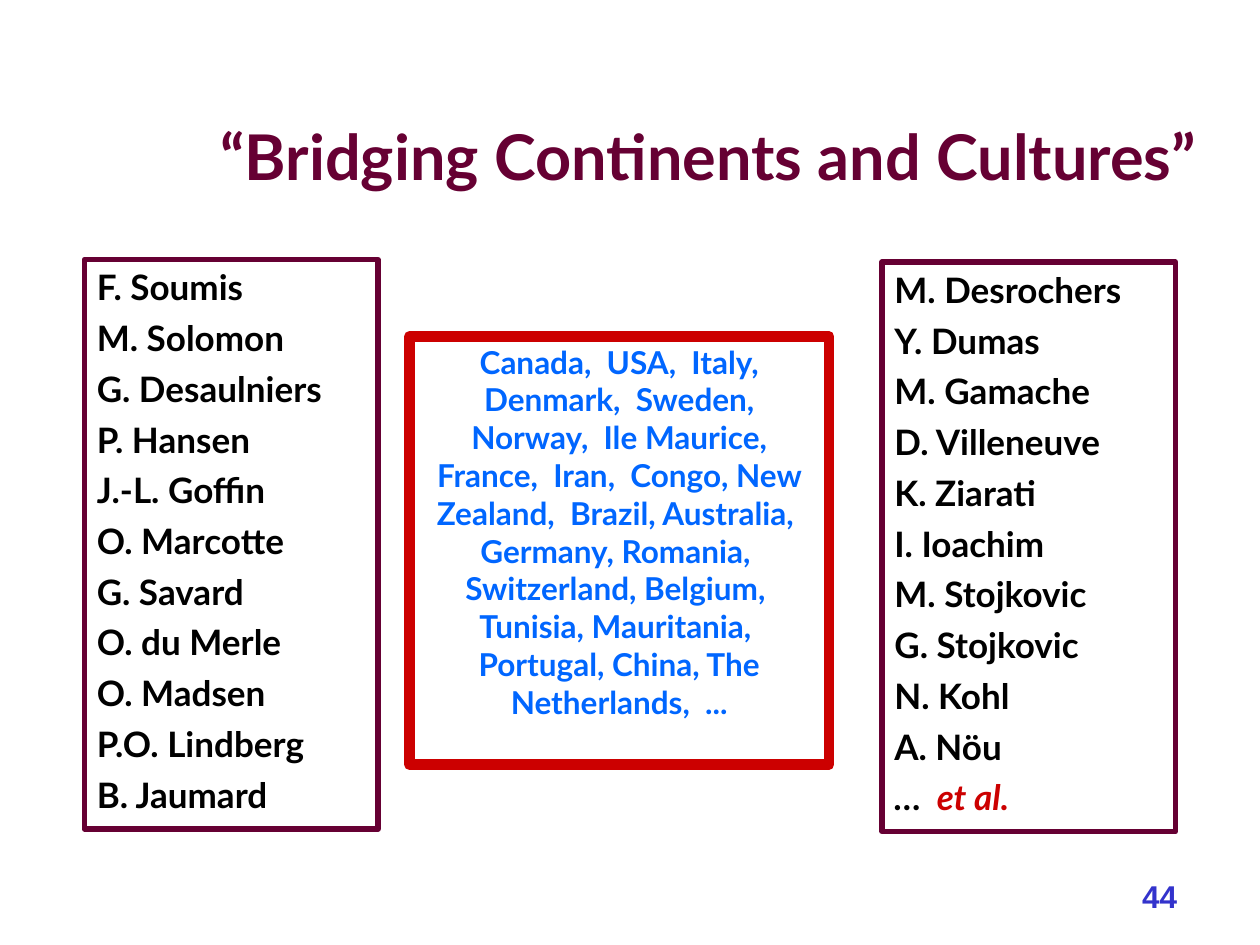
from dataclasses import dataclass

import pptx
import pptx.dml.color
import pptx.enum.shapes
import pptx.enum.text
import pptx.util
from pptx.util import Inches

PLUM, RED, BLACK = "660033", "CC0000", "000000"
ALIGN = pptx.enum.text.PP_ALIGN
ANCHOR = pptx.enum.text.MSO_ANCHOR

LEFT_NAMES = [
    "F. Soumis", "M. Solomon", "G. Desaulniers", "P. Hansen", "J.-L. Goffin", "O. Marcotte",
    "G. Savard", "O. du Merle", "O. Madsen", "P.O. Lindberg", "B. Jaumard",
]
RIGHT_NAMES = [
    "M. Desrochers", "Y. Dumas", "M. Gamache", "D. Villeneuve", "K. Ziarati", "I. Ioachim",
    "M. Stojkovic", "G. Stojkovic", "N. Kohl", "A. Nöu",
]
COUNTRIES = (
    "Canada,  USA,  Italy, Denmark,  Sweden, Norway,  Ile Maurice, France,  Iran,  "
    "Congo, New Zealand,  Brazil, Australia,  Germany, Romania,  Switzerland, "
    "Belgium,  Tunisia, Mauritania,  Portugal, China, The Netherlands,  ..."
)


@dataclass
class Span:
    text: str
    color: str
    italic: bool = False


@dataclass
class Style:
    size: float
    align: ALIGN = ALIGN.LEFT
    before: float = 0
    hanging: float = 0
    font: str = "Lato"


@dataclass
class Area:
    left: float
    top: float
    width: float
    height: float

    def lengths(self) -> list[int]:
        return [Inches(side) for side in (self.left, self.top, self.width, self.height)]


def rgb(color: str) -> pptx.dml.color.RGBColor:
    return pptx.dml.color.RGBColor.from_string(color)


def write(box, lines: list[list[Span]], style: Style, anchor: ANCHOR) -> None:
    """Fill a box with one paragraph for each line of spans."""
    frame = box.text_frame
    frame.word_wrap = True
    frame.vertical_anchor = anchor
    for index, spans in enumerate(lines):
        para = frame.add_paragraph() if index else frame.paragraphs[0]
        para.alignment = style.align
        para.space_before = pptx.util.Pt(style.before)
        if style.hanging:
            properties = para._p.get_or_add_pPr()
            properties.set("marL", str(Inches(style.hanging)))
            properties.set("indent", str(-Inches(style.hanging)))
        for span in spans:
            run = para.add_run()
            run.text = span.text
            run.font.name = style.font
            run.font.size = pptx.util.Pt(style.size)
            run.font.bold = True
            run.font.italic = span.italic
            run.font.color.rgb = rgb(span.color)


def add_label(page, area: Area, span: Span, style: Style) -> None:
    box = page.shapes.add_textbox(*area.lengths())
    write(box, [[span]], style, ANCHOR.BOTTOM)


def add_frame(page, area: Area, border: str, weight: float,
              lines: list[list[Span]], style: Style) -> None:
    box = page.shapes.add_shape(pptx.enum.shapes.MSO_SHAPE.RECTANGLE, *area.lengths())
    box.shadow.inherit = False
    box.fill.background()
    box.line.color.rgb = rgb(border)
    box.line.width = pptx.util.Pt(weight)
    write(box, lines, style, ANCHOR.TOP)


def main() -> None:
    deck = pptx.Presentation()
    deck.slide_width, deck.slide_height = Inches(10), Inches(7.5)
    page = deck.slides.add_slide(deck.slide_layouts[6])

    add_label(page, Area(0.42, 0.25, 9.17, 1.33),
              Span("“Bridging Continents and Cultures”", PLUM), Style(36, ALIGN.RIGHT))

    names = Style(20, before=5, hanging=0.38)
    left_lines = [[Span(name, BLACK)] for name in LEFT_NAMES]
    right_lines = [[Span(name, BLACK)] for name in RIGHT_NAMES]
    right_lines.append([Span("…  ", BLACK, italic=True), Span("et al.", RED, italic=True)])
    add_frame(page, Area(0.67, 2.06, 2.33, 4.52), PLUM, 3, left_lines, names)
    add_frame(page, Area(7, 2.08, 2.33, 4.52), PLUM, 3, right_lines, names)

    add_frame(page, Area(3.25, 2.67, 3.33, 3.4), RED, 6,
              [[Span(COUNTRIES, "0066FF")]], Style(18, ALIGN.CENTER, before=11.2))
    add_label(page, Area(5.83, 6.81, 3.61, 0.5), Span("44", "3333CC"),
              Style(18, ALIGN.RIGHT, before=11.2, font="Arial"))

    deck.save("out.pptx")


if __name__ == "__main__":
    main()
